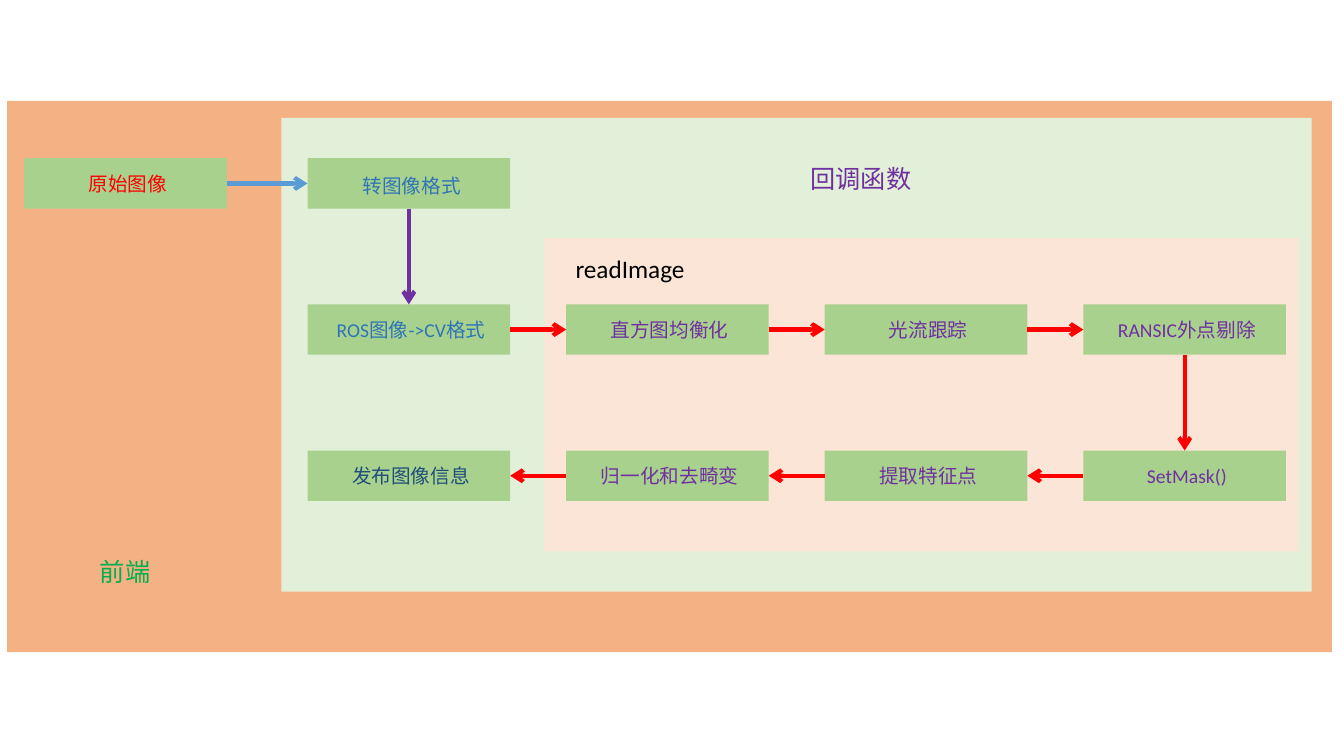
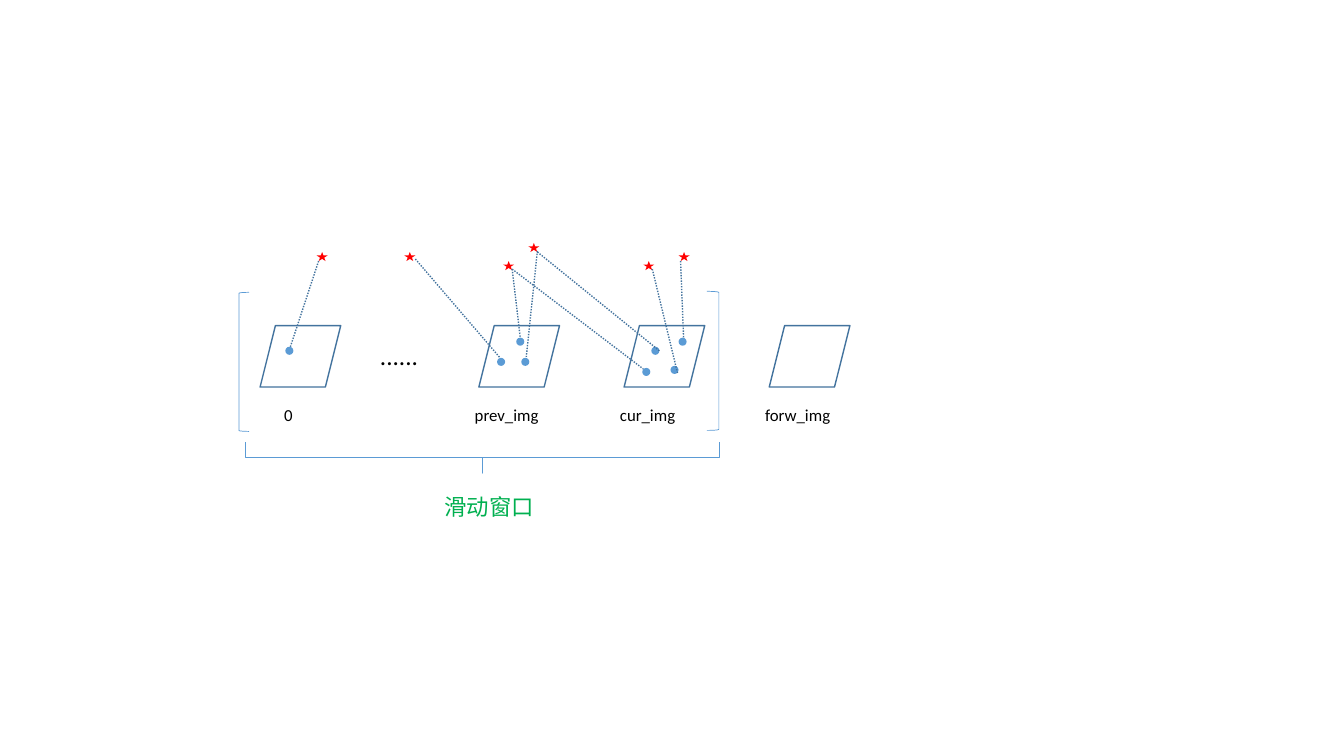
from pptx import Presentation
from pptx.dml.color import RGBColor
from pptx.enum.dml import MSO_LINE
from pptx.enum.shapes import MSO_CONNECTOR, MSO_SHAPE
from pptx.enum.text import MSO_ANCHOR, MSO_AUTO_SIZE, PP_ALIGN
from pptx.oxml.ns import qn
from pptx.util import Inches, Pt
from lxml import etree

RECTANGLE = MSO_SHAPE.RECTANGLE
STAR = MSO_SHAPE.STAR_5_POINT
DOT = MSO_SHAPE.FLOWCHART_CONNECTOR
PARALLELOGRAM = MSO_SHAPE.PARALLELOGRAM
LEFT_BRACKET = MSO_SHAPE.LEFT_BRACKET
RIGHT_BRACKET = MSO_SHAPE.RIGHT_BRACKET
RIGHT_BRACE = MSO_SHAPE.RIGHT_BRACE
STRAIGHT = MSO_CONNECTOR.STRAIGHT
DOTTED = MSO_LINE.ROUND_DOT
CENTER = PP_ALIGN.CENTER
MIDDLE, TOP = MSO_ANCHOR.MIDDLE, MSO_ANCHOR.TOP
GROW = MSO_AUTO_SIZE.SHAPE_TO_FIT_TEXT
SITE_TOP, SITE_LEFT, SITE_BOTTOM, SITE_RIGHT = range(4)

FONT = "Calibri"
COLORS = {
    "orange": "F4B183", "pale_green": "E2F0D9", "peach": "FBE5D6",
    "box": "A9D18E", "red": "FF0000", "purple": "7030A0",
    "blue": "5B9BD5", "text_blue": "2E75B6", "navy": "1F4E79",
    "outline": "43739E", "green": "00B050", "black": "000000",
}


def color(name):
    return RGBColor.from_string(COLORS[name])


class Deck:
    """Holds the presentation, the shared style and the current slide."""

    def __init__(self):
        self.presentation = Presentation()
        self.presentation.slide_width = Inches(13.33)
        self.presentation.slide_height = Inches(7.5)
        self.slide = None

    def new_slide(self):
        layout = self.presentation.slide_layouts[6]
        self.slide = self.presentation.slides.add_slide(layout)

    def shape(self, kind, left, top, width, height, fill=None, line=None,
              line_width=1, parent=None):
        shapes = (parent or self.slide).shapes
        shape = shapes.add_shape(kind, Inches(left), Inches(top),
                                 Inches(width), Inches(height))
        shape.shadow.inherit = False
        if fill:
            shape.fill.solid()
            shape.fill.fore_color.rgb = color(fill)
        else:
            shape.fill.background()
        if line:
            shape.line.color.rgb = color(line)
            shape.line.width = Pt(line_width)
        else:
            shape.line.fill.background()
        return shape

    def run(self, paragraph, text, size, text_color):
        run = paragraph.add_run()
        run.text = text
        run.font.name = FONT
        run.font.size = Pt(size)
        run.font.color.rgb = color(text_color)

    def step(self, left, top, text, text_color, space_size=14):
        """A process box; its text follows one leading space."""
        shape = self.shape(RECTANGLE, left, top, BOX_WIDTH, BOX_HEIGHT, "box")
        shape.text_frame.vertical_anchor = MIDDLE
        paragraph = shape.text_frame.paragraphs[0]
        paragraph.alignment = CENTER
        self.run(paragraph, " ", space_size, text_color)
        self.run(paragraph, text, 14, text_color)
        return shape

    def label(self, left, top, width, height, text, size=18,
              text_color="black", wrap=True, parent=None):
        shapes = (parent or self.slide).shapes
        box = shapes.add_textbox(Inches(left), Inches(top),
                                 Inches(width), Inches(height))
        box.text_frame.word_wrap = wrap
        box.text_frame.auto_size = GROW
        self.run(box.text_frame.paragraphs[0], text, size, text_color)

    def connector(self, start, end, line, width):
        connector = self.slide.shapes.add_connector(
            STRAIGHT, *(Inches(value) for value in (*start, *end)))
        connector.line.color.rgb = color(line)
        connector.line.width = Pt(width)
        etree.SubElement(connector._element.spPr, qn("a:effectLst"))
        return connector

    def arrow(self, source, source_site, target, target_site, line):
        connector = self.connector((0, 0), (0, 0), line, 3)
        connector.begin_connect(source, source_site)
        connector.end_connect(target, target_site)
        etree.SubElement(connector.line._get_or_add_ln(), qn("a:tailEnd"),
                         type="arrow")

    def ray(self, start, end):
        self.connector(start, end, "outline", 1).line.dash_style = DOTTED

    def frame(self, left, text, label_offset=-0.14, label_width=1.08):
        """An image frame grouped with its caption."""
        group = self.slide.shapes.add_group_shape()
        self.shape(PARALLELOGRAM, left, 3.23, 0.8, 0.61, line="outline",
                   parent=group)
        self.label(left + label_offset, 3.97, label_width, 0.3, text, 12,
                   parent=group)


# Process grid
BOX_WIDTH, BOX_HEIGHT = 2.01, 0.5
COLUMNS = [3.05 + 2.565 * index for index in range(4)]
ROWS = [1.57 + 1.45 * index for index in range(3)]


def front_end_slide(deck):
    deck.new_slide()

    # Nested areas
    deck.shape(RECTANGLE, 0.07, 1, 13.14, 5.47, "orange")
    deck.shape(RECTANGLE, 2.79, 1.17, 10.22, 4.7, "pale_green")
    deck.shape(RECTANGLE, 5.4, 2.36, 7.48, 3.11, "peach")

    # Steps
    raw_image = deck.step(0.24, ROWS[0], "原始图像", "red")
    convert = deck.step(COLUMNS[0], ROWS[0], "转图像格式", "text_blue", 18)
    forward = [("ROS图像->CV格式", "text_blue"), ("直方图均衡化", "purple"),
               ("光流跟踪", "purple"), ("RANSIC外点剔除", "purple")]
    backward = [("SetMask()", "purple"), ("提取特征点", "purple"),
                ("归一化和去畸变", "purple"), ("发布图像信息", "navy")]
    middle_row = [deck.step(left, ROWS[1], *item)
                  for left, item in zip(COLUMNS, forward)]
    bottom_row = [deck.step(left, ROWS[2], *item)
                  for left, item in zip(reversed(COLUMNS), backward)]

    # Area names
    deck.label(5.61, 2.46, 1.78, 0.4, "readImage")
    deck.label(7.94, 1.57, 1.78, 0.4, "回调函数", text_color="purple")
    front_end = deck.shape(RECTANGLE, 0.35, 5.47, 1.78, 0.4, "orange")
    front_end.text_frame.vertical_anchor = TOP
    front_end.text_frame.auto_size = GROW
    paragraph = front_end.text_frame.paragraphs[0]
    paragraph.alignment = CENTER
    deck.run(paragraph, "前端", 18, "green")

    # Arrows
    for source, target in zip(middle_row, middle_row[1:]):
        deck.arrow(source, SITE_RIGHT, target, SITE_LEFT, "red")
    deck.arrow(middle_row[-1], SITE_BOTTOM, bottom_row[0], SITE_TOP, "red")
    for source, target in zip(bottom_row, bottom_row[1:]):
        deck.arrow(source, SITE_LEFT, target, SITE_RIGHT, "red")
    deck.arrow(convert, SITE_BOTTOM, middle_row[0], SITE_TOP, "purple")
    deck.arrow(raw_image, SITE_RIGHT, convert, SITE_LEFT, "blue")


def sliding_window_slide(deck):
    deck.new_slide()

    # Image frames
    deck.label(3.67, 3.33, 0.8, 0.4, "......")
    deck.frame(2.58, "0", 0.14, 0.3)
    for left, text in [(4.75, "prev_img"), (7.63, "forw_img"),
                       (6.19, "cur_img")]:
        deck.frame(left, text)

    # Window brackets
    deck.shape(LEFT_BRACKET, 2.37, 2.9, 0.1, 1.38, None, "blue", 0.5)
    deck.shape(RIGHT_BRACKET, 7.01, 2.89, 0.12, 1.38, None, "blue", 0.5)
    brace = deck.shape(RIGHT_BRACE, 4.63, 2.19, 0.31, 4.7, None, "blue", 0.5)
    brace.rotation = 90
    brace.adjustments[0] = 0
    brace.adjustments[1] = 0.5
    deck.label(4.31, 4.84, 1.09, 0.37, "滑动窗口", 16, "green", wrap=False)

    # Landmarks and their observed points
    for left, top in [(3.14, 2.5), (4.01, 2.5), (4.99, 2.59),
                      (5.24, 2.41), (6.38, 2.59), (6.73, 2.5)]:
        deck.shape(STAR, left, top, 0.11, 0.09, "red")
    for left, top in [(2.83, 3.44), (5.12, 3.35), (4.93, 3.55), (5.17, 3.55),
                      (6.46, 3.44), (6.73, 3.35), (6.37, 3.65), (6.65, 3.63)]:
        deck.shape(DOT, left, top, 0.08, 0.08, "blue")

    # Observation rays
    for start, end in [((3.16, 2.59), (2.88, 3.44)),
                       ((4.12, 2.57), (4.96, 3.55)),
                       ((5.08, 2.67), (5.16, 3.35)),
                       ((5.33, 2.49), (5.22, 3.54)),
                       ((5.33, 2.5), (6.54, 3.48)),
                       ((5.08, 2.67), (6.38, 3.66)),
                       ((6.47, 2.67), (6.72, 3.7)),
                       ((6.75, 2.59), (6.78, 3.35))]:
        deck.ray(start, end)


def main():
    deck = Deck()
    front_end_slide(deck)
    sliding_window_slide(deck)
    deck.presentation.save("out.pptx")


if __name__ == "__main__":
    main()
